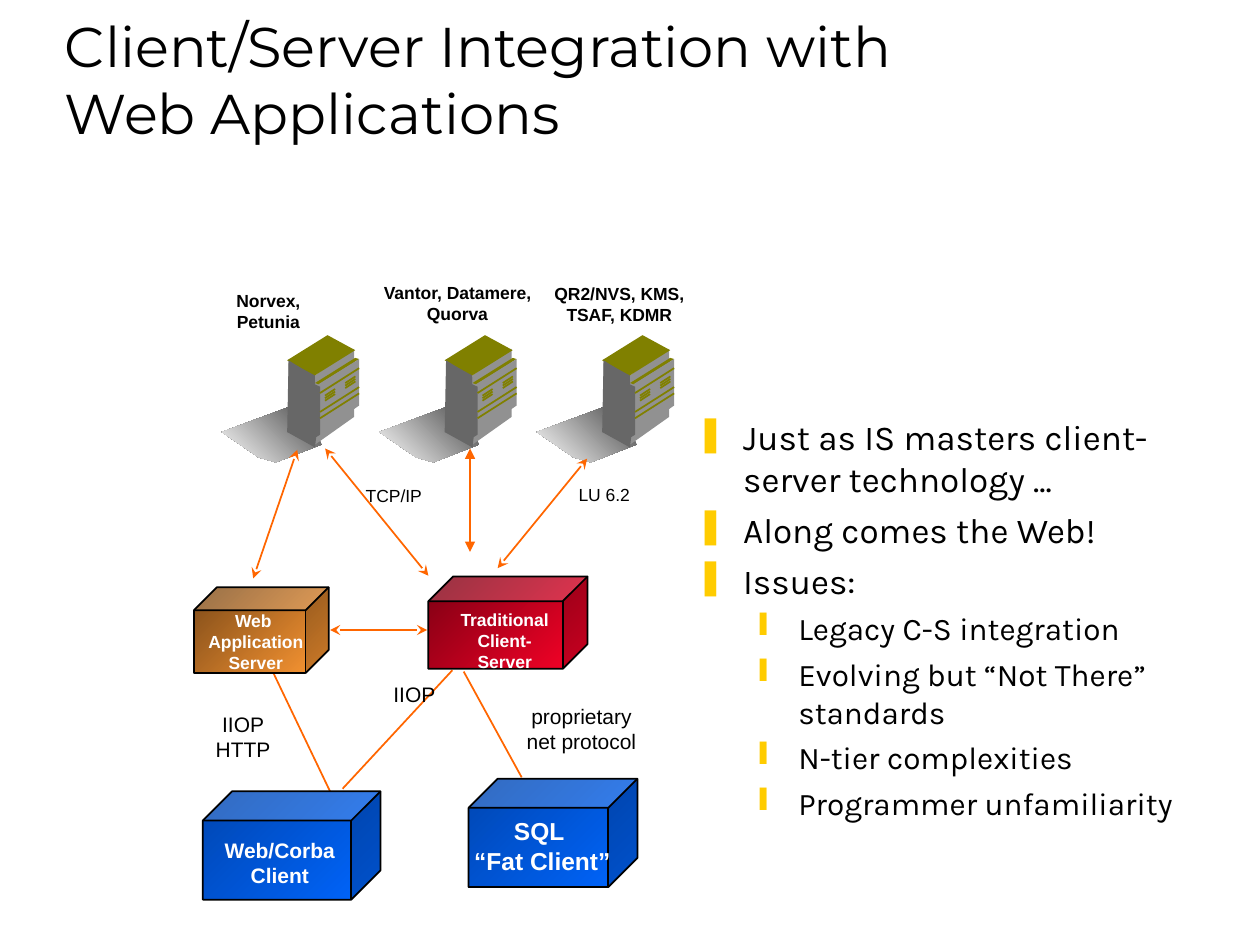
from typing import NamedTuple

from lxml.etree import SubElement
from pptx import Presentation
from pptx.dml.color import RGBColor
from pptx.enum.shapes import MSO_CONNECTOR, MSO_SHAPE
from pptx.enum.text import MSO_ANCHOR, MSO_AUTO_SIZE, PP_ALIGN
from pptx.oxml.ns import qn
from pptx.util import Pt

HUES = {
    "black": "000000", "white": "FFFFFF", "link": "FF6600", "mark": "FFCC00",
    "olive": "808000", "dark": "676767", "grey": "919191",
    "shade": "414141", "pale": "FEFEFE",
    "blue": "0066FF", "navy": "0046B1", "orange": "FF9933", "brown": "7E4B19",
    "red": "FC0128", "wine": "7D0013",
}


class Link(NamedTuple):
    start: tuple
    end: tuple
    head: str = ""


class Cube(NamedTuple):
    box: tuple
    near: str
    far: str


class Label(NamedTuple):
    """Lines are paragraphs; a vertical tab breaks a line inside one."""
    box: tuple
    lines: tuple
    size: int = 10
    hue: str = "black"
    bold: bool = False
    wrap: bool = False


class Face(NamedTuple):
    hue: str
    points: tuple


class Point(NamedTuple):
    text: str
    level: int = 0


class Style(NamedTuple):
    mark: str
    left: float
    hang: float
    size: int
    gap: float


LINKS = [
    Link((265, 383.8), (298.1, 444.2)),
    Link((268.6, 256.3), (268.6, 315.4), "triangle"),
    Link((335.5, 262.1), (284.4, 324.7), "stealth"),
    Link((185.8, 256.3), (244.8, 329), "stealth"),
    Link((156.2, 384.5), (188.6, 452.2)),
    Link((188.6, 360), (244.1, 360), "stealth"),
    Link((169.9, 257), (144.7, 330.5), "stealth"),
    Link((258.5, 383), (195.8, 450.7)),
]
CUBES = [
    Cube((115.9, 452.2, 101.5, 61.9), "blue", "navy"),
    Cube((110.9, 335.5, 77, 49), "orange", "brown"),
    Cube((244.8, 329.4, 91, 52.8), "red", "wine"),
    Cube((267.8, 445, 96.5, 61.9), "blue", "navy"),
]
LABELS = [
    Label((126, 162, 54.7, 31.7), ("Norvex,", "Petunia"), bold=True),
    Label((196.6, 157.7, 129.6, 31.7), ("Vantor, Datamere,", "Quorva"),
          bold=True, wrap=True),
    Label((286.6, 158.4, 134.6, 31.7), ("QR2/NVS, KMS,", "TSAF, KDMR"),
          bold=True, wrap=True),
    Label((201.6, 273.6, 46.8, 19.4), ("TCP/IP",)),
    Label((323.3, 272.9, 43.9, 19.4), ("LU 6.2",)),
    Label((115.9, 403.2, 46.1, 36), ("IIOP", "HTTP"), 12),
    Label((217.4, 385.9, 38.9, 21.6), ("IIOP",), 12),
    Label((293.8, 398.2, 77, 36), ("proprietary\vnet protocol",), 12),
    Label((111.6, 344.9, 69.1, 43.2), ("Web ", "Application", "Server"),
          10, "white", True),
    Label((255.6, 344.2, 65.5, 43.2), ("Traditional\vClient-\vServer",),
          10, "white", True),
    Label((263.5, 463, 92.9, 41), ("SQL \v“Fat Client”",), 14, "white", True),
    Label((121, 475.2, 77.8, 36), ("Web/Corba", "Client"), 12, "white", True),
]
SHADE = Face("shade", ((56.9, 62.6), (31, 72.7), (20.9, 69.8), (0, 55.4),
                       (46.1, 38.2)))
FACES = [
    Face("dark", ((38.2, 13.7), (38.2, 55.4), (53.3, 64.1), (53.3, 22.3))),
    Face("grey", ((53.3, 62.6), (75.6, 46.8), (75.6, 7.9), (53.3, 23))),
    Face("olive", ((37.4, 14.4), (60.5, 0), (76.3, 8.6), (53.3, 23))),
    Face("olive", ((55.4, 28.1), (78.5, 13.7), (76.3, 13), (53.3, 27.4))),
    Face("grey", ((54.7, 56.9), (78.5, 40.3), (78.5, 13.7), (55.4, 28.1))),
    Face("dark", ((38.2, 14.4), (37.4, 55.4), (53.3, 64.1), (54, 58.3),
                  (56.2, 56.9), (56.2, 29.5), (53.3, 28.1), (53.3, 23.8))),
]
STRIPES = [Link((56.2, y), (78.5, y - 14.2)) for y in (33.1, 43.9, 47.5)]
SLOTS = [Link((x, y + 1.44 * row), (x + 5.8, y + 1.44 * row - 3.8))
         for x, y in ((70.6, 27.4), (59, 34.6)) for row in range(3)]
POINTS = [
    Point("Just as IS masters client-server technology ..."),
    Point("Along comes the Web!"),
    Point("Issues:"),
    Point("Legacy C-S integration", 1),
    Point("Evolving but “Not There” standards", 1),
    Point("N-tier complexities", 1),
    Point("Programmer unfamiliarity", 1),
]
STYLES = [Style("❚", 27, 27, 20, 5), Style("❙", 58.5, 22.5, 18, 4.5)]


def tint(name: str) -> RGBColor:
    return RGBColor.from_string(HUES[name])


def blend(shape, near: str, far: str, angle: int) -> None:
    """Fill with a two-colour gradient; the angle runs counter-clockwise."""
    shape.fill.gradient()
    shape.fill.gradient_angle = angle
    for stop, name in zip(shape.fill.gradient_stops, (near, far)):
        stop.color.rgb = tint(name)


def draw_link(shapes, link: Link, hue: str, dx: float = 0, dy: float = 0) -> None:
    (x1, y1), (x2, y2) = link.start, link.end
    line = shapes.add_connector(MSO_CONNECTOR.STRAIGHT, Pt(x1 + dx), Pt(y1 + dy),
                                Pt(x2 + dx), Pt(y2 + dy))
    line.line.color.rgb = tint(hue)
    line.line.width = Pt(1)
    if link.head:
        for tag in ("a:headEnd", "a:tailEnd"):
            SubElement(line.line._get_or_add_ln(), qn(tag), type=link.head)
    SubElement(line._element.spPr, qn("a:effectLst"))


def draw_face(shapes, face: Face, dx: float, dy: float):
    spots = [(Pt(x + dx), Pt(y + dy)) for x, y in face.points]
    pen = shapes.build_freeform(*spots[0], scale=1.0)
    pen.add_line_segments(spots[1:], close=True)
    shape = pen.convert_to_shape()
    shape.shadow.inherit = False
    shape.line.fill.background()
    shape.fill.solid()
    shape.fill.fore_color.rgb = tint(face.hue)
    return shape


def draw_server(slide, x: float, y: float) -> None:
    shapes = slide.shapes.add_group_shape().shapes
    blend(draw_face(shapes, SHADE, x, y), "shade", "pale", 225)
    for face in FACES:
        draw_face(shapes, face, x, y)
    for line in STRIPES + SLOTS:
        draw_link(shapes, line, "olive", x, y)


def draw_cube(slide, cube: Cube) -> None:
    shape = slide.shapes.add_shape(MSO_SHAPE.CUBE, *map(Pt, cube.box))
    shape.adjustments[0] = 0.269
    shape.shadow.inherit = False
    blend(shape, cube.near, cube.far, 135)
    shape.line.color.rgb = tint("black")
    shape.line.width = Pt(1)


def add_frame(slide, box: tuple, wrap: bool = True):
    frame = slide.shapes.add_textbox(*map(Pt, box)).text_frame
    frame.word_wrap = wrap
    return frame


def write(para, text: str, face: str, size: int, hue: str = "black",
          bold: bool = False) -> None:
    for index, piece in enumerate(text.split("\v")):
        if index:
            para.add_line_break()
        run = para.add_run()
        run.text = piece
        run.font.name, run.font.size, run.font.bold = face, Pt(size), bold
        run.font.color.rgb = tint(hue)


def draw_label(slide, label: Label) -> None:
    frame = add_frame(slide, label.box, label.wrap)
    frame.auto_size = MSO_AUTO_SIZE.SHAPE_TO_FIT_TEXT
    for index, text in enumerate(label.lines):
        para = frame.add_paragraph() if index else frame.paragraphs[0]
        para.alignment = PP_ALIGN.CENTER
        write(para, text, "Arial", label.size, label.hue, label.bold)


def draw_points(slide) -> None:
    frame = add_frame(slide, (390.6, 234, 318.6, 234))
    for index, point in enumerate(POINTS):
        para = frame.add_paragraph() if index else frame.paragraphs[0]
        style = STYLES[point.level]
        para.level = point.level
        props = para._p.get_or_add_pPr()
        props.set("marL", str(Pt(style.left)))
        props.set("indent", str(-Pt(style.hang)))
        SubElement(SubElement(props, qn("a:buClr")), qn("a:srgbClr"), val=HUES["mark"])
        SubElement(props, qn("a:buChar"), char=style.mark)
        if index:
            para.space_before = Pt(style.gap)
        write(para, point.text, "Karla", style.size)


def main() -> None:
    deck = Presentation()
    deck.slide_width, deck.slide_height = Pt(720), Pt(540)
    slide = deck.slides.add_slide(deck.slide_layouts[6])
    title = add_frame(slide, (30, 0, 612, 90))
    title.vertical_anchor = MSO_ANCHOR.MIDDLE
    write(title.paragraphs[0], "Client/Server Integration with\vWeb Applications",
          "Montserrat", 32)
    draw_points(slide)
    for column in range(3):
        draw_server(slide, 126.7 + 90 * column, 191.5)
    for link in LINKS:
        draw_link(slide.shapes, link, "link")
    for cube in CUBES:
        draw_cube(slide, cube)
    for label in LABELS:
        draw_label(slide, label)
    deck.save("out.pptx")


if __name__ == "__main__":
    main()
